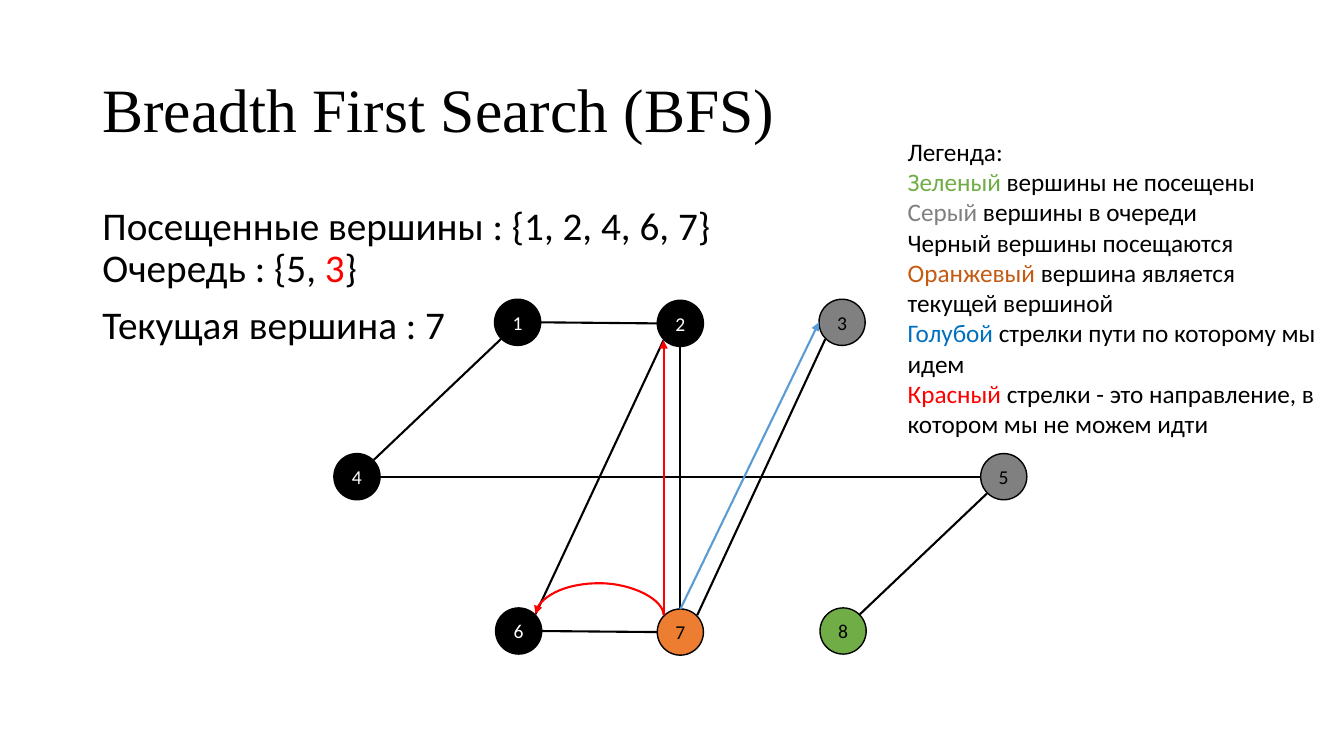
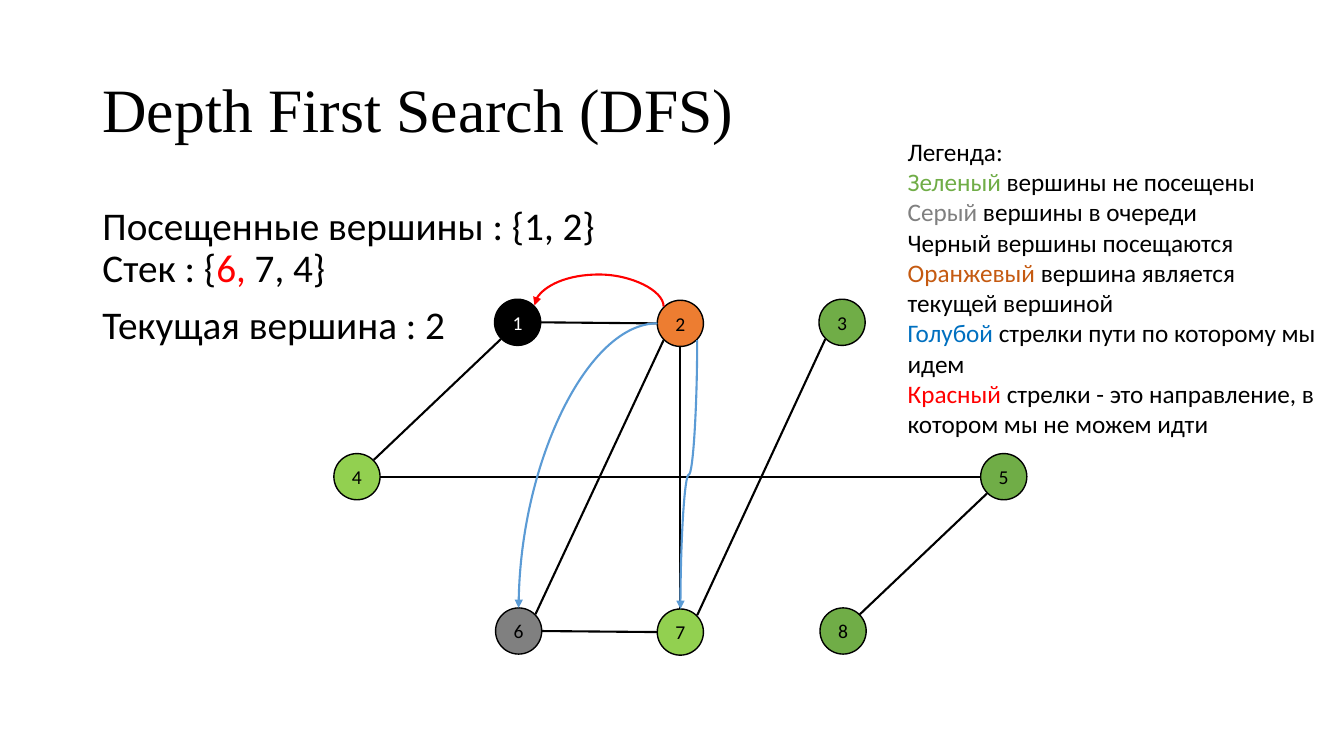
"""Build two slides that trace breadth first and depth first search on one graph."""
from math import cos, radians, sin

from lxml.etree import SubElement
from pptx import Presentation
from pptx.dml.color import RGBColor
from pptx.enum.shapes import MSO_CONNECTOR as Connector, MSO_SHAPE as Shape
from pptx.enum.text import MSO_ANCHOR as Anchor, MSO_AUTO_SIZE as AutoSize, PP_ALIGN as Align
from pptx.oxml.ns import qn
from pptx.util import Pt

PX = 9525
NODE = 44
BLACK, WHITE, GRAY, RED = "000000", "FFFFFF", "808080", "FF0000"
GREEN, LIME, ORANGE, BLUE = "70AD47", "92D050", "ED7D31", "5B9BD5"

NODES = {
    "1": (471, 285), "2": (626, 286), "4": (318, 432), "6": (472, 579),
    "7": (626, 580), "8": (781, 579), "5": (934, 432), "3": (780, 285),
}
# Ellipse sites run counterclockwise: 0 top, 2 left, 4 bottom, 6 right.
EDGES = [
    ("4", 7, "1", 3), ("4", 6, "5", 2), ("1", 6, "2", 2), ("2", 4, "7", 0),
    ("2", 3, "6", 7), ("6", 6, "7", 2), ("7", 7, "3", 3), ("5", 3, "8", 7),
]
LOOP = ("curvedConnector3", 270, 3100000)
BEND = ("curvedConnector2", 0, None)
WAVE = ("curvedConnector3", 90, 50000)
LEGEND = [
    [("Легенда:", BLACK)],
    [("Зеленый ", GREEN), ("вершины не посещены", BLACK)],
    [("Серый ", GRAY), ("вершины в очереди", BLACK)],
    [("Черный вершины посещаются", BLACK)],
    [("Оранжевый ", "C55A11"), ("вершина является текущей вершиной", BLACK)],
    [("Голубой ", "0070C0"), ("стрелки пути по которому мы идем", BLACK)],
    [("Красный ", RED), ("стрелки - это направление, в котором мы не можем идти", BLACK)],
]
SLIDES = [
    {
        "title": "Breadth First Search (BFS)",
        "state": [
            [("Посещенные вершины : {1, 2, 4, 6, 7}\vОчередь : {5, ", BLACK),
             ("3", RED), ("}", BLACK)],
            [("Текущая вершина : 7", BLACK)],
        ],
        "fills": {"1": BLACK, "2": BLACK, "4": BLACK, "6": BLACK,
                  "7": ORANGE, "8": GREEN, "5": GRAY, "3": GRAY},
        "arrows": [
            ("7", 1, "6", 7, RED, LOOP),
            ("7", 1, "2", 3, RED, None),
            ("7", 0, "3", 2, BLUE, None),
        ],
    },
    {
        "title": "Depth First Search (DFS)",
        "state": [
            [("Посещенные вершины : {1, 2}\vСтек : {", BLACK),
             ("6, ", RED), ("7, 4}", BLACK)],
            [("Текущая вершина : 2", BLACK)],
        ],
        "fills": {"1": BLACK, "2": ORANGE, "4": LIME, "6": GRAY,
                  "7": LIME, "8": GREEN, "5": GREEN, "3": GREEN},
        "arrows": [
            ("2", 1, "1", 7, RED, LOOP),
            ("2", 2, "6", 0, BLUE, BEND),
            ("2", 5, "7", 0, BLUE, WAVE),
        ],
    },
]


def color(hex_code):
    return RGBColor.from_string(hex_code)


def write(frame, paragraphs, size, font="Calibri"):
    frame.word_wrap = True
    for index, spans in enumerate(paragraphs):
        para = frame.add_paragraph() if index else frame.paragraphs[0]
        para.text = spans[0][0]
        for span in para.runs:
            span.font.color.rgb = color(spans[0][1])
        for text, hex_code in spans[1:]:
            span = para.add_run()
            span.text = text
            span.font.color.rgb = color(hex_code)
        for span in para.runs:
            span.font.size = Pt(size)
            span.font.name = font


deck = Presentation()
deck.slide_width, deck.slide_height = 1280 * PX, 720 * PX

for content in SLIDES:
    page = deck.slides.add_slide(deck.slide_layouts[1])
    title, body = page.shapes.title, page.placeholders[1]
    for box, top, height in ((title, 38, 139), (body, 192, 457)):
        box.left, box.top, box.width, box.height = 88 * PX, top * PX, 1104 * PX, height * PX
        box.text_frame.auto_size = AutoSize.NONE

    write(title.text_frame, [[(content["title"], BLACK)]], 44, "Times New Roman")
    title.text_frame.vertical_anchor = Anchor.MIDDLE
    title.text_frame.paragraphs[0].alignment = Align.LEFT
    title.text_frame.paragraphs[0].line_spacing = 0.9

    write(body.text_frame, content["state"], 28)
    for para in body.text_frame.paragraphs:
        para.line_spacing = 0.9
        para.space_before = Pt(10)
        properties = para._p.get_or_add_pPr()
        properties.set("marL", "0")
        properties.set("indent", "0")
        SubElement(properties, qn("a:buNone"))
        for line_break in para._p.findall(qn("a:br")):
            SubElement(line_break, qn("a:rPr"), sz="2800")

    circles = {}
    for name, (left, top) in NODES.items():
        fill = content["fills"][name]
        circle = page.shapes.add_shape(Shape.OVAL, left * PX, top * PX, NODE * PX, NODE * PX)
        circle.shadow.inherit = False
        circle.fill.solid()
        circle.fill.fore_color.rgb = color(fill)
        circle.line.color.rgb = color(BLACK)
        circle.line.width = Pt(1)
        frame = circle.text_frame
        frame.margin_left = frame.margin_right = frame.margin_top = frame.margin_bottom = 0
        frame.vertical_anchor = Anchor.MIDDLE
        write(frame, [[(name, WHITE if fill == BLACK else BLACK)]], 14)
        frame.paragraphs[0].alignment = Align.CENTER
        circles[name] = circle

    links = [(*edge, BLACK, None) for edge in EDGES] + content["arrows"]
    for start, start_site, end, end_site, hex_code, curve in links:
        points = []
        for name, site in ((start, start_site), (end, end_site)):
            left, top = NODES[name]
            angle = radians(90 + 45 * site)
            points.append((left + NODE // 2 + round(NODE / 2 * cos(angle)),
                           top + NODE // 2 - round(NODE / 2 * sin(angle))))
        (x1, y1), (x2, y2) = points
        preset, turn, bend = curve or ("line", 0, None)
        if turn:
            sign = 1 if turn == 90 else -1
            middle_x, middle_y = (x1 + x2) / 2, (y1 + y2) / 2
            half_x, half_y = sign * (y1 - y2) / 2, sign * (x2 - x1) / 2
            x1, y1 = middle_x + half_x, middle_y + half_y
            x2, y2 = middle_x - half_x, middle_y - half_y
        kind = Connector.CURVE if curve else Connector.STRAIGHT
        link = page.shapes.add_connector(kind, *(int(n * PX) for n in (x1, y1, x2, y2)))
        link.line.color.rgb = color(hex_code)
        link.line.width = Pt(1.5)
        properties = link._element.spPr
        if hex_code != BLACK:
            SubElement(properties.find(qn("a:ln")), qn("a:tailEnd"), type="triangle")
        SubElement(properties, qn("a:effectLst"))
        if curve:
            geometry = properties.find(qn("a:prstGeom"))
            geometry.set("prst", preset)
            if turn:
                properties.find(qn("a:xfrm")).set("rot", str(turn * 60000))
                SubElement(geometry.find(qn("a:avLst")), qn("a:gd"), name="adj1", fmla=f"val {bend}")
        joints = link._element.find(".//" + qn("p:cNvCxnSpPr"))
        for tag, name, site in (("a:stCxn", start, start_site), ("a:endCxn", end, end_site)):
            SubElement(joints, qn(tag), id=str(circles[name].shape_id), idx=str(site))

    legend = page.shapes.add_textbox(855 * PX, 125 * PX, 410 * PX, 300 * PX)
    write(legend.text_frame, LEGEND, 18)
    legend.text_frame.auto_size = AutoSize.SHAPE_TO_FIT_TEXT

deck.save("out.pptx")
